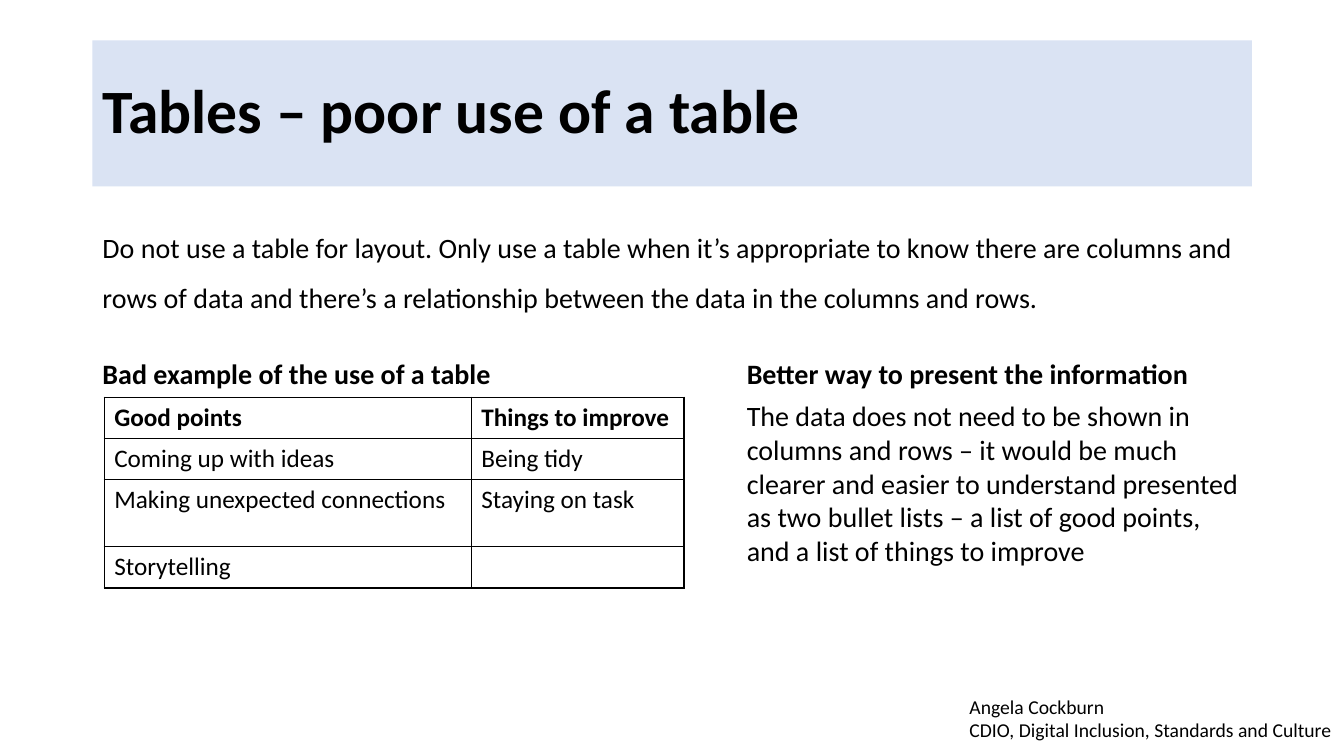
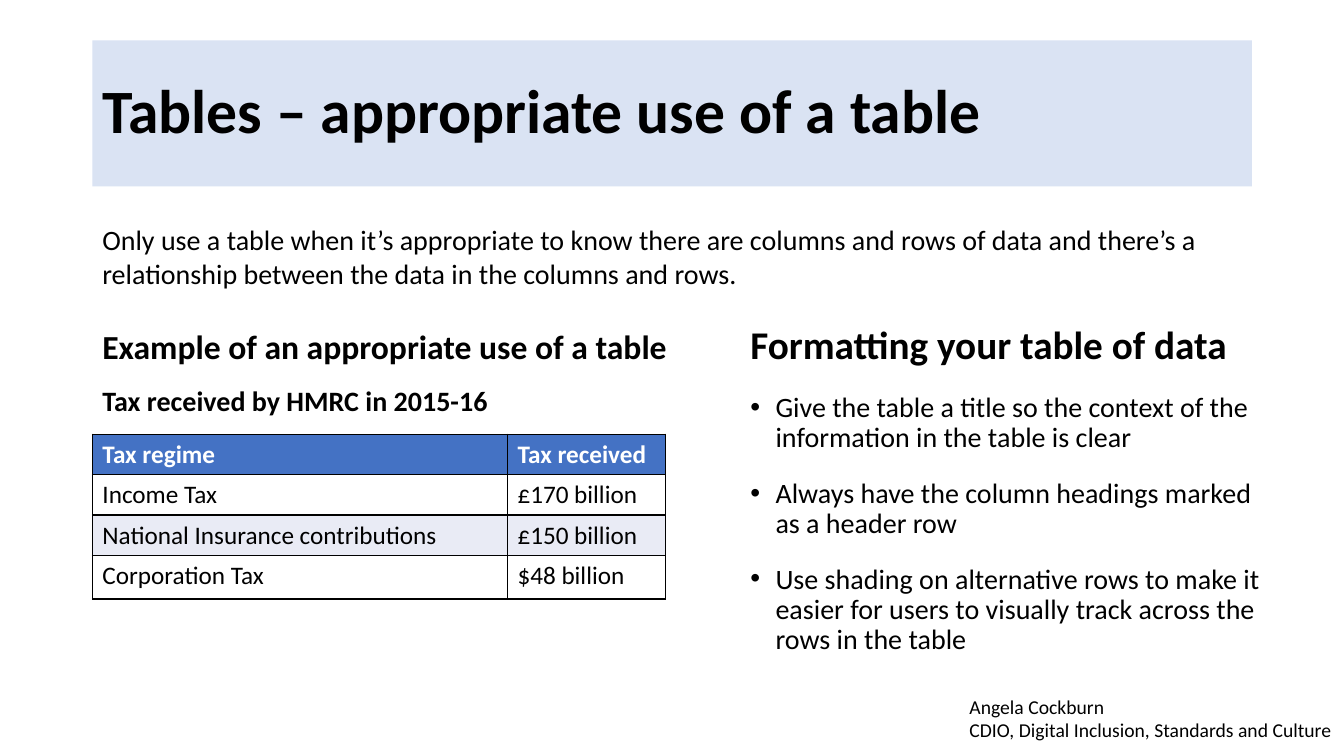
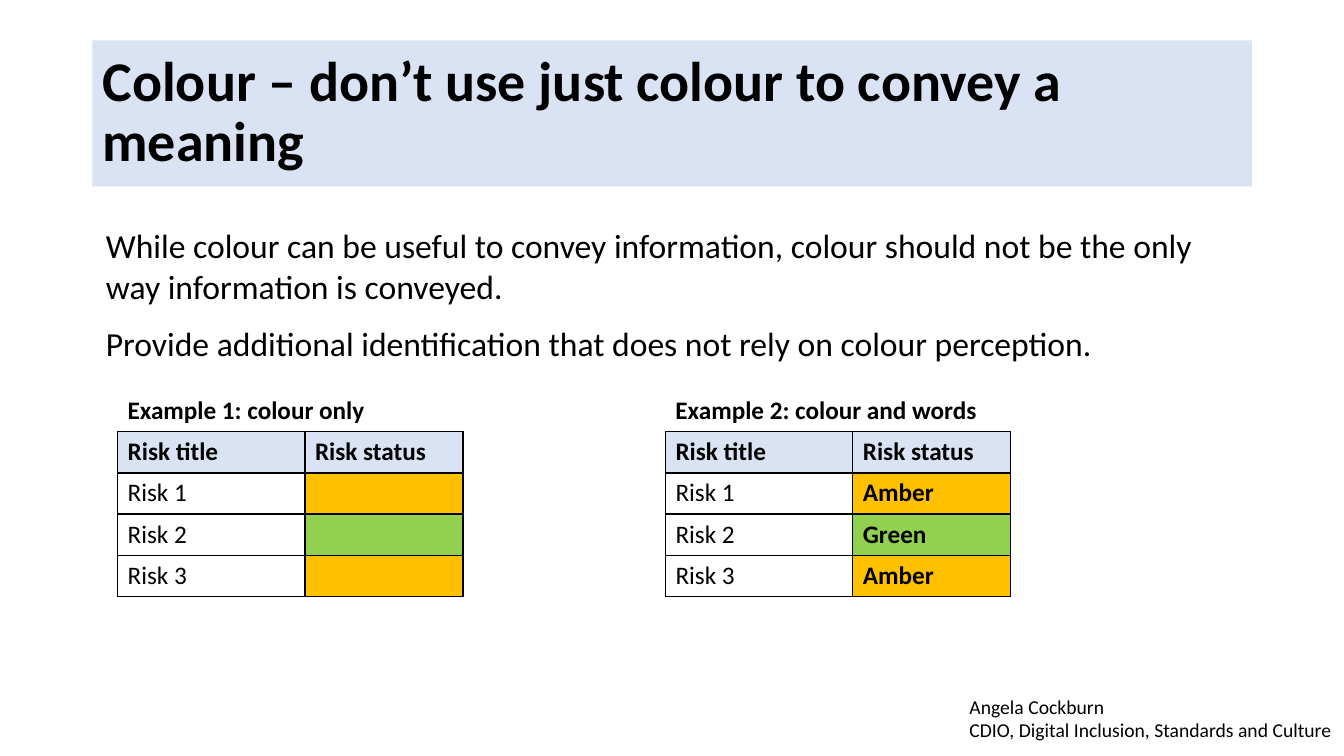
from dataclasses import dataclass, replace
from typing import Optional, Sequence

from lxml import etree
from pptx import Presentation
from pptx.dml.color import RGBColor
from pptx.enum.text import MSO_ANCHOR, MSO_AUTO_SIZE, PP_ALIGN
from pptx.oxml.ns import qn
from pptx.util import Emu, Inches, Pt

LEFT = PP_ALIGN.LEFT
TOP, MIDDLE = MSO_ANCHOR.TOP, MSO_ANCHOR.MIDDLE
NO_FIT, GROW = MSO_AUTO_SIZE.NONE, MSO_AUTO_SIZE.SHAPE_TO_FIT_TEXT

BLACK = RGBColor(0x00, 0x00, 0x00)
WHITE = RGBColor(0xFF, 0xFF, 0xFF)
PALE_BLUE = RGBColor(0xDA, 0xE3, 0xF3)
HEADER_BLUE = RGBColor(0x44, 0x72, 0xC4)
STRIPE = RGBColor(0xE9, 0xEB, 0xF5)
AMBER = RGBColor(0xFF, 0xC0, 0x00)
GREEN = RGBColor(0x92, 0xD0, 0x50)
FONT = "Calibri"

# The slide is a grid of 160 columns by 90 rows with square units
SLIDE_W, SLIDE_H = Inches(13.33), Inches(7.5)
UNIT = SLIDE_H / 90
MARGIN, CONTENT_W = 11, 138


@dataclass(frozen=True)
class Box:
    col: float
    row: float
    cols: float
    rows: float

    def emu(self) -> tuple:
        return tuple(units(n) for n in (self.col, self.row, self.cols, self.rows))


@dataclass(frozen=True)
class Para:
    text: str
    size: float = 20
    bold: bool = False
    before: float = 0
    after: float = 0
    spacing: float = 1.0
    bullet: bool = False


@dataclass(frozen=True)
class Cell:
    text: str = ""
    bold: bool = False
    colour: RGBColor = BLACK
    fill: Optional[RGBColor] = None


TITLE_BAND = Box(MARGIN, 4.8, CONTENT_W, 17.4)
FOOTER = Box(114.2, 82.1, 46, 6.8)
FOOTER_LINES = (
    Para("Angela Cockburn", 14),
    Para("CDIO, Digital Inclusion, Standards and Culture", 14),
)


def units(count: float) -> Emu:
    return Emu(round(count * UNIT))


# Text
def add_run(paragraph, text: str, size: float, bold: bool, colour: RGBColor) -> None:
    run = paragraph.add_run()
    run.text = text
    run.font.name = FONT
    run.font.size = Pt(size)
    run.font.bold = bold
    run.font.color.rgb = colour


def set_bullet(paragraph, bullet: bool) -> None:
    properties = paragraph._p.get_or_add_pPr()
    indent = Inches(0.25) if bullet else 0
    properties.set("marL", str(indent))
    properties.set("indent", str(-indent))
    if bullet:
        etree.SubElement(properties, qn("a:buFont")).set("typeface", "Arial")
        etree.SubElement(properties, qn("a:buChar")).set("char", "•")
    else:
        etree.SubElement(properties, qn("a:buNone"))


def write(frame, paras: Sequence[Para]) -> None:
    for index, para in enumerate(paras):
        paragraph = frame.add_paragraph() if index else frame.paragraphs[0]
        paragraph.alignment = LEFT
        paragraph.line_spacing = para.spacing
        paragraph.space_before = Pt(para.before)
        paragraph.space_after = Pt(para.after)
        set_bullet(paragraph, para.bullet)
        add_run(paragraph, para.text, para.size, para.bold, BLACK)


def fill_placeholder(holder, box: Box, paras: Sequence[Para], anchor=TOP) -> None:
    holder.left, holder.top, holder.width, holder.height = box.emu()
    frame = holder.text_frame
    frame.auto_size = NO_FIT
    frame.vertical_anchor = anchor
    write(frame, paras)


def add_text(slide, box: Box, paras: Sequence[Para], wrap: bool = True) -> None:
    frame = slide.shapes.add_textbox(*box.emu()).text_frame
    frame.word_wrap = wrap
    frame.auto_size = GROW
    write(frame, paras)


# Tables
def add_borders(cell) -> None:
    properties = cell._tc.get_or_add_tcPr()
    for index, edge in enumerate(("a:lnL", "a:lnR", "a:lnT", "a:lnB")):
        line = etree.Element(qn(edge), w=str(Pt(1)))
        solid = etree.SubElement(line, qn("a:solidFill"))
        etree.SubElement(solid, qn("a:srgbClr")).set("val", str(BLACK))
        properties.insert(index, line)


def add_table(slide, col: float, row: float, widths: Sequence[float],
              heights: Sequence[float], rows: Sequence[Sequence[Cell]]) -> None:
    box = Box(col, row, sum(widths), sum(heights))
    table = slide.shapes.add_table(len(heights), len(widths), *box.emu()).table
    table.horz_banding = False
    for column, width in zip(table.columns, widths):
        column.width = units(width)
    for table_row, height, entries in zip(table.rows, heights, rows):
        table_row.height = units(height)
        for cell, entry in zip(table_row.cells, entries):
            if entry.fill is None:
                cell.fill.background()
            else:
                cell.fill.solid()
                cell.fill.fore_color.rgb = entry.fill
            add_borders(cell)
            if entry.text:
                add_run(cell.text_frame.paragraphs[0], entry.text, 18,
                        entry.bold, entry.colour)


def table_row(*texts: str, **style) -> list[Cell]:
    return [Cell(text, **style) for text in texts]


# Shared frame: title band, body placeholder and footer
def add_slide(prs, title: str, body_box: Box, body: Sequence[Para], title_size: float = 44):
    slide = prs.slides.add_slide(prs.slide_layouts[1])
    band = slide.shapes.title
    fill_placeholder(band, TITLE_BAND, [Para(title, title_size, True, spacing=0.9)], MIDDLE)
    band.fill.solid()
    band.fill.fore_color.rgb = PALE_BLUE
    fill_placeholder(slide.placeholders[1], body_box, body)
    add_text(slide, FOOTER, FOOTER_LINES, wrap=False)
    return slide


def poor_use(prs) -> None:
    slide = add_slide(prs, "Tables – poor use of a table", Box(MARGIN, 24.8, CONTENT_W, 24), [
        Para("Do not use a table for layout. Only use a table when it’s appropriate to know "
             "there are columns and rows of data and there’s a relationship between the data "
             "in the columns and rows.", before=18, after=12, spacing=1.5),
        Para("Bad example of the use of a table", bold=True, before=6, spacing=1.5),
    ])
    add_table(slide, 12.4, 47.3, (43.7, 25.3), (4.9, 4.9, 8, 4.9), [
        table_row("Good points", "Things to improve", bold=True),
        table_row("Coming up with ideas", "Being tidy"),
        table_row("Making unexpected connections", "Staying on task"),
        table_row("Storytelling", ""),
    ])
    add_text(slide, Box(87.7, 41.9, 61.3, 26.4), [
        Para("Better way to present the information", bold=True, after=6),
        Para("The data does not need to be shown in columns and rows – it would be much clearer "
             "and easier to understand presented as two bullet lists – a list of good points, "
             "and a list of things to improve"),
    ])


def appropriate_use(prs) -> None:
    advice = (
        "Give the table a title so the context of the information in the table is clear",
        "Always have the column headings marked as a header row",
        "Use shading on alternative rows to make it easier for users to visually track "
        "across the rows in the table",
    )
    heading = Para("Formatting your table of data", 28, True, before=18, spacing=0.9)
    bullets = [replace(heading, text=text, size=20, bold=False, bullet=True) for text in advice]
    slide = add_slide(prs, "Tables – appropriate use of a table",
                      Box(88.1, 38.2, 65.6, 42.5), [heading, *bullets])
    add_text(slide, Box(MARGIN, 25.9, CONTENT_W, 9.2), [
        Para("Only use a table when it’s appropriate to know there are columns and rows of data "
             "and there’s a relationship between the data in the columns and rows."),
    ])
    add_text(slide, Box(MARGIN, 38.2, 70.3, 12.1), [
        Para("Example of an appropriate use of a table", 24, True, after=6),
        Para("Tax received by HMRC in 2015-16", bold=True, before=6),
    ])
    add_table(slide, MARGIN, 51.7, (49.4, 18.8), (4.8, 4.8, 4.8, 5.2), [
        table_row("Tax regime", "Tax received", bold=True, colour=WHITE, fill=HEADER_BLUE),
        table_row("Income Tax", "£170 billion"),
        table_row("National Insurance contributions", "£150 billion", fill=STRIPE),
        table_row("Corporation Tax", "$48 billion"),
    ])


def colour_meaning(prs) -> None:
    slide = add_slide(prs, "Colour – don’t use just colour to convey a meaning",
                      Box(11.4, 26.2, CONTENT_W, 17.8), [
        Para("While colour can be useful to convey information, colour should not be the only "
             "way information is conveyed.", 24, after=12),
        Para("Provide additional identification that does not rely on colour perception.", 24),
    ], title_size=40)
    statuses = (("Amber", AMBER), ("Green", GREEN), ("Amber", AMBER))
    examples = (
        (14, "Example 1: colour only", False),
        (79.2, "Example 2: colour and words", True),
    )
    for col, caption, with_words in examples:
        add_text(slide, Box(col, 46.4, 46.9, 4.8), [Para(caption, 18, True)])
        risks = [
            [Cell(f"Risk {number}"), Cell(word if with_words else "", True, fill=fill)]
            for number, (word, fill) in enumerate(statuses, 1)
        ]
        header = table_row("Risk title", "Risk status", bold=True, fill=PALE_BLUE)
        add_table(slide, col, 51.4, (22.3, 18.8), [4.9] * 4, [header, *risks])


def main() -> None:
    prs = Presentation()
    prs.slide_width, prs.slide_height = SLIDE_W, SLIDE_H
    poor_use(prs)
    appropriate_use(prs)
    colour_meaning(prs)
    prs.save("out.pptx")


if __name__ == "__main__":
    main()
